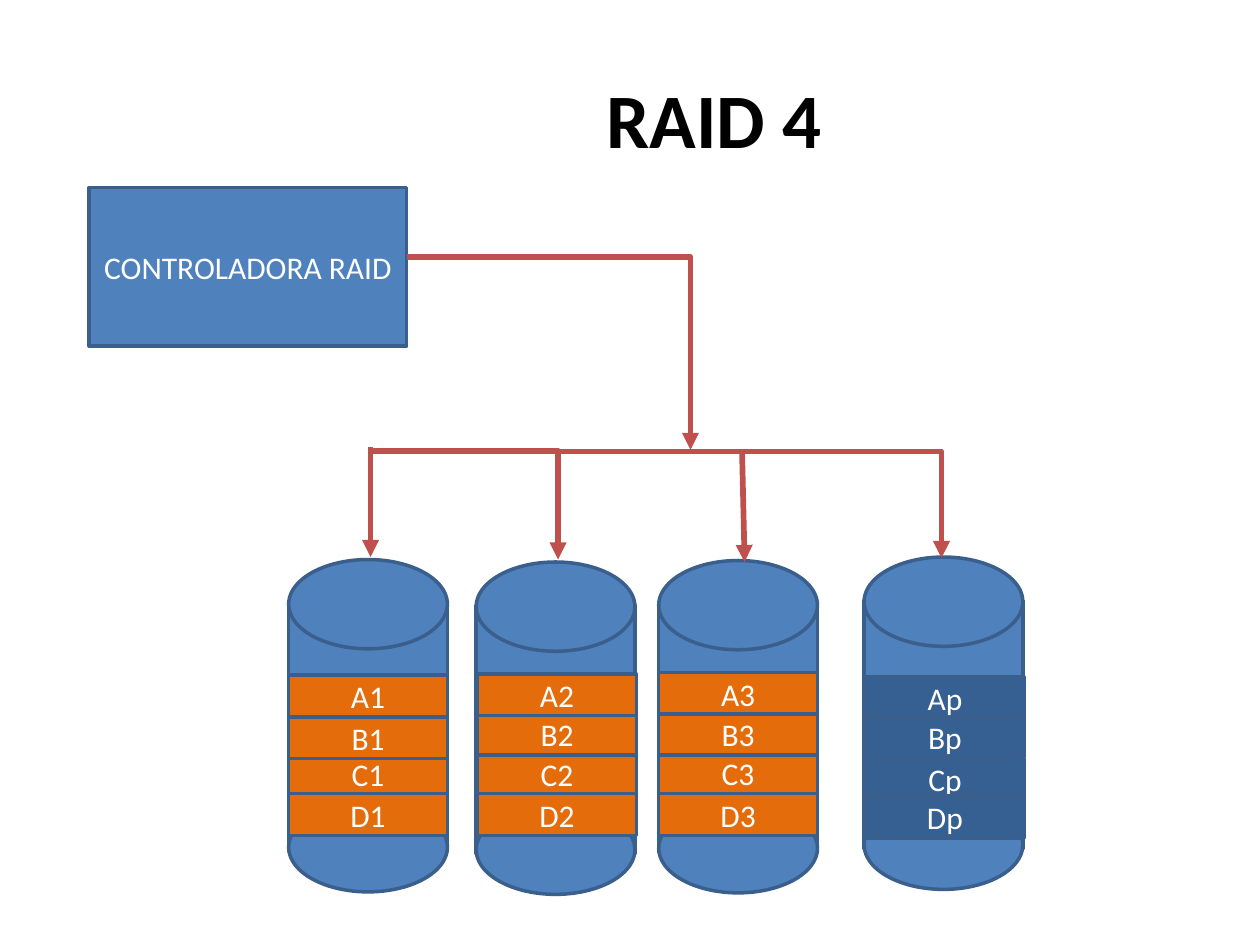
from pptx import Presentation
from pptx.dml.color import RGBColor
from pptx.enum.shapes import MSO_CONNECTOR as Link, MSO_SHAPE as Shape
from pptx.enum.text import MSO_ANCHOR as Anchor, PP_ALIGN as Align
from pptx.oxml.ns import qn
from pptx.util import Cm, Pt
from lxml.etree import SubElement

BLUE, NAVY, ORANGE = "4F81BD", "376092", "E46C0A"
OUTLINE, RED, WHITE, BLACK = "3A5F8C", "C0504D", "FFFFFF", "000000"
DISK_WIDTH, CAP_HEIGHT, BLOCK_HEIGHT = 3.2, 1.8, 0.84


def colour(code):
    return RGBColor.from_string(code)


class Sketch:
    """Draws styled elements on the current page, with lengths in centimetres."""

    def __init__(self, deck):
        self.page = deck.slides.add_slide(deck.slide_layouts[6])
        self.font = "Calibri"

    def label(self, item, text, size, code, bold=False):
        frame = item.text_frame
        frame.word_wrap = True
        frame.vertical_anchor = Anchor.MIDDLE
        para = frame.paragraphs[0]
        para.text = text
        para.alignment = Align.CENTER
        para.font.name = self.font
        para.font.size = Pt(size)
        para.font.bold = bold
        para.font.color.rgb = colour(code)

    def title(self, text, *place):
        box = self.page.shapes.add_textbox(*map(Cm, place))
        self.label(box, text, 44, BLACK, bold=True)

    def shape(self, kind, *place, fill=BLUE, text=""):
        item = self.page.shapes.add_shape(kind, *map(Cm, place))
        item.shadow.inherit = False
        item.fill.solid()
        item.fill.fore_color.rgb = colour(fill)
        item.line.color.rgb = colour(OUTLINE)
        item.line.width = Pt(2)
        if text:
            self.label(item, text, 18, WHITE)

    def disk(self, suffix, left, top, block_left, block_tops, fill):
        self.shape(Shape.RECTANGLE, left, top + 0.88, DISK_WIDTH, 5)
        for cap_top in (top, top + 4.9):
            self.shape(Shape.OVAL, left, cap_top, DISK_WIDTH, CAP_HEIGHT)
        for letter in "CBAD":
            self.shape(Shape.RECTANGLE, block_left, block_tops["ABCD".index(letter)],
                       DISK_WIDTH, BLOCK_HEIGHT, fill=fill, text=letter + suffix)

    def arrow(self, *ends, bent=False):
        kind = Link.ELBOW if bent else Link.STRAIGHT
        line = self.page.shapes.add_connector(kind, *map(Cm, ends))
        line.line.color.rgb = colour(RED)
        line.line.width = Pt(3.25)
        properties = line._element.spPr
        if bent:
            properties.find(qn("a:prstGeom")).set("prst", "bentConnector2")
        SubElement(properties.find(qn("a:ln")), qn("a:tailEnd"), type="triangle")
        SubElement(properties, qn("a:effectLst"))


def main():
    deck = Presentation()
    deck.slide_width, deck.slide_height = Cm(25.4), Cm(19.05)
    sketch = Sketch(deck)

    sketch.title("RAID 4", 3.4, 0.79, 22, 3.17)
    sketch.shape(Shape.RECTANGLE, 1.8, 3.78, 6.4, 3.2, text="CONTROLADORA RAID")

    disks = [
        ("1", 5.82, 11.28, 5.82, (13.61, 14.45, 15.19, 16), ORANGE),
        ("2", 9.6, 11.33, 9.63, (13.59, 14.38, 15.19, 16), ORANGE),
        ("3", 13.28, 11.3, 13.28, (13.56, 14.38, 15.16, 16), ORANGE),
        ("p", 17.42, 11.23, 17.45, (13.64, 14.43, 15.29, 16.05), NAVY),
    ]
    for disk in disks:
        sketch.disk(*disk)

    sketch.arrow(7.49, 9.09, 11.25, 11.28, bent=True)
    sketch.arrow(7.47, 9.02, 7.47, 11.23)
    sketch.arrow(8.2, 5.18, 13.92, 9.07, bent=True)
    sketch.arrow(11.2, 9.1, 18.98, 11.25, bent=True)
    sketch.arrow(14.96, 9.14, 15.01, 11.33)

    deck.save("out.pptx")


if __name__ == "__main__":
    main()
